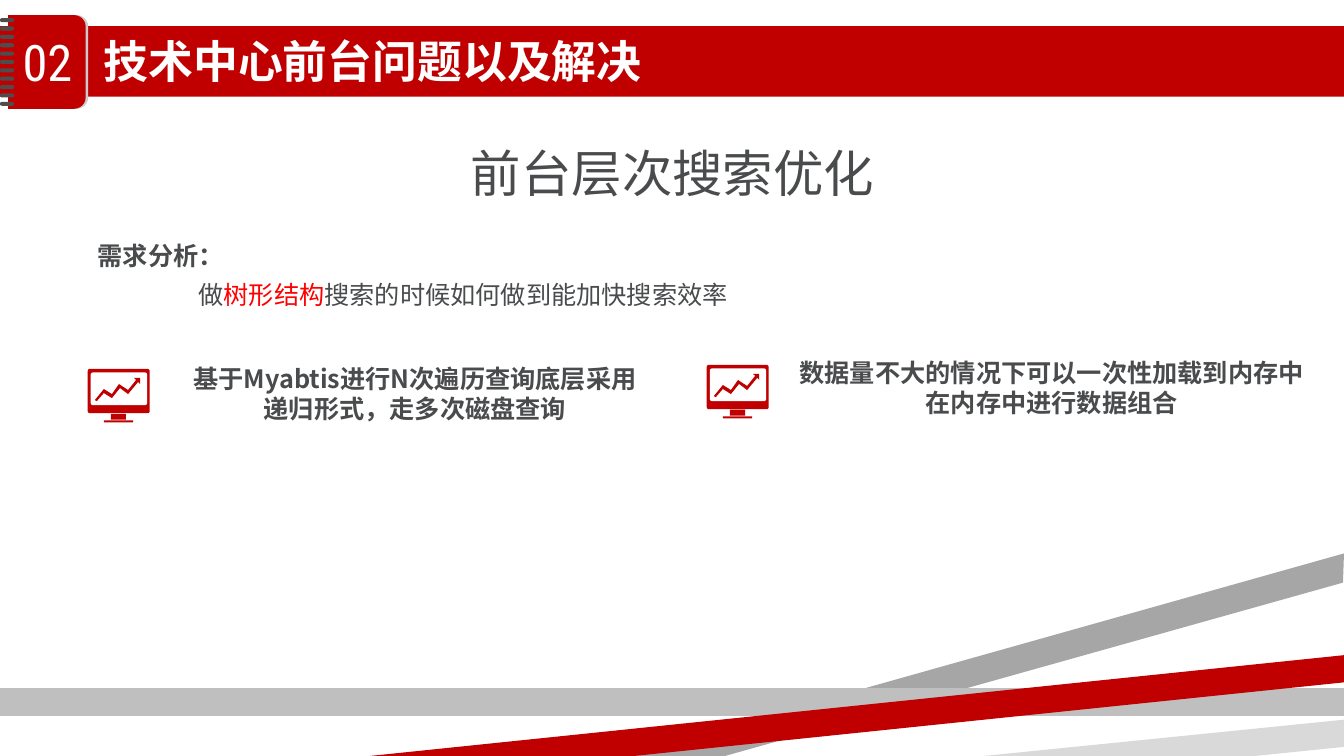
"""Build the slide on search optimisation for the technology centre front end."""
from pptx import Presentation
from pptx.dml.color import RGBColor
from pptx.enum.shapes import MSO_SHAPE
from pptx.enum.text import MSO_ANCHOR, PP_ALIGN
from pptx.oxml.ns import qn
from pptx.util import Inches, Pt

RECT = MSO_SHAPE.RECTANGLE
ROUNDED = MSO_SHAPE.ROUNDED_RECTANGLE
TAB_CARD = MSO_SHAPE.ROUND_2_SAME_RECTANGLE
LEFT, CENTER = PP_ALIGN.LEFT, PP_ALIGN.CENTER
TOP, MIDDLE = MSO_ANCHOR.TOP, MSO_ANCHOR.MIDDLE

RED = RGBColor(0xC0, 0x00, 0x00)
BRIGHT_RED = RGBColor(0xFF, 0x00, 0x00)
WHITE = RGBColor(0xFF, 0xFF, 0xFF)
INK = RGBColor(0x49, 0x4B, 0x4D)
RING_GRAY = RGBColor(0x4D, 0x4D, 0x4D)
DARK_GRAY = RGBColor(0xA6, 0xA6, 0xA6)
MID_GRAY = RGBColor(0xBF, 0xBF, 0xBF)
EDGE_GRAY = RGBColor(0xCC, 0xCC, 0xCC)
PALE_GRAY = RGBColor(0xD9, 0xD9, 0xD9)

CJK = "Noto Sans CJK SC"
CELL = Inches(0.01)
COLUMNS, ROWS = 1333, 750

deck = Presentation()
deck.slide_width, deck.slide_height = COLUMNS * CELL, ROWS * CELL
page = deck.slides.add_slide(deck.slide_layouts[6])


def draw(color, cells=None, kind=RECT, radius=None, turn=0, points=None):
    """Draw a preset shape in grid cells, or a polygon through the points."""
    if points:
        builder = page.shapes.build_freeform(*points[0], scale=CELL)
        builder.add_line_segments(points[1:], close=True)
        shape = builder.convert_to_shape()
    else:
        shape = page.shapes.add_shape(kind, *(round(n * CELL) for n in cells))
    if radius is not None:
        shape.adjustments[0] = radius
    shape.rotation = turn
    shape.shadow.inherit = False
    shape.fill.solid()
    shape.fill.fore_color.rgb = color
    shape.line.fill.background()


def write(cells, paragraphs, size=18, font=CJK, color=INK, bold=False, align=CENTER,
          spacing=None, anchor=TOP, insets=(10, 5), wrap=True):
    """Write paragraphs of (text, format) spans in a text box."""
    box = page.shapes.add_textbox(*(n * CELL for n in cells))
    frame = box.text_frame
    frame.word_wrap, frame.vertical_anchor = wrap, anchor
    frame.margin_left = frame.margin_right = insets[0] * CELL
    frame.margin_top = frame.margin_bottom = insets[1] * CELL
    for index, (spans, indent) in enumerate(paragraphs):
        para = frame.add_paragraph() if index else frame.paragraphs[0]
        para.alignment, para.line_spacing = align, spacing
        if indent:
            para._p.get_or_add_pPr().set("marL", str(indent * CELL))
        for text, changes in spans:
            span = para.add_run()
            span.text = text
            span.font.size, span.font.name = Pt(size), font
            span.font.bold = changes.get("bold", bold)
            span.font.color.rgb = changes.get("color", color)
            east = span._r.get_or_add_rPr().makeelement(qn("a:ea"), {"typeface": CJK})
            span.font._element.find(qn("a:latin")).addnext(east)


draw(RED, (58, 26, COLUMNS - 58, 70))

ribbons = [
    (DARK_GRAY, [(COLUMNS, 549), (COLUMNS - 1, 578), (719, ROWS), (619, ROWS)]),
    (PALE_GRAY, [(COLUMNS, 714), (COLUMNS, 741), (1245, ROWS), (976, ROWS)]),
    (MID_GRAY, [(0, 683), (COLUMNS, 683), (COLUMNS, 710), (0, 710)]),
    (RED, [(COLUMNS, 650), (COLUMNS, 677), (629, ROWS), (367, ROWS)]),
]
for color, corners in ribbons:
    draw(color, points=corners)

draw(RED, (0, 26, 37, 70))
for color, left in ((EDGE_GRAY, 2.5), (RED, 0)):
    draw(color, (left, 23, 93, 77), TAB_CARD, radius=0.15, turn=90)
for ring in range(11):
    draw(RING_GRAY, (0, 18 + 8.3 * ring, 14, 4), ROUNDED, radius=0.5)

write((8, 31, 78, 61), [([("02", {})], 0)], size=36, font="Roboto Condensed",
      color=WHITE, insets=(0, 0))
write((93, 29, 559, 64), [([("技术中心前台问题以及解决", {})], 0)], size=32,
      color=WHITE, bold=True, align=LEFT, wrap=False)
write((411, 118, 512, 81), [([("前台层次搜索优化", {})], 0)], size=36,
      font="Arial", spacing=1.3)

plain = {"bold": False}
question = [("做", plain), ("树形结构", {"bold": False, "color": BRIGHT_RED}),
            ("搜索的时候如何做到能加快搜索效率", plain)]
write((87, 224, 937, 85), [([("需求分析：", {})], 0), (question, 100)],
      font="Arial", bold=True, align=LEFT, spacing=1.3)

trend = [(52, 9), (46, 9), (48, 11), (40, 21), (31, 15), (24, 25), (16, 20), (7, 31),
         (9, 32), (16, 24), (24, 29), (32, 19), (40, 25), (50, 13), (52, 15)]
options = [
    (87, 366, (172, 360, 479, 61), True,
     ["基于Myabtis进行N次遍历查询底层采用", "递归形式，走多次磁盘查询"]),
    (701, 362, (777, 354, 532, 61), False,
     ["数据量不大的情况下可以一次性加载到内存中", "在内存中进行数据组合"]),
]
for left, top, cells, wrap, lines in options:
    write(cells, [([(line, {})], 0) for line in lines], bold=True,
          anchor=MIDDLE, insets=(13, 0), wrap=wrap)
    draw(RED, (left, top, 61.5, 44), ROUNDED, radius=0.05)
    draw(WHITE, (left + 3, top + 3.5, 56, 32.5), ROUNDED, radius=0.07)
    draw(RED, (left + 23, top + 44.5, 15, 6))
    draw(RED, (left + 16, top + 51, 29, 2))
    draw(RED, points=[(left + x, top + y) for x, y in trend])

deck.save("out.pptx")
